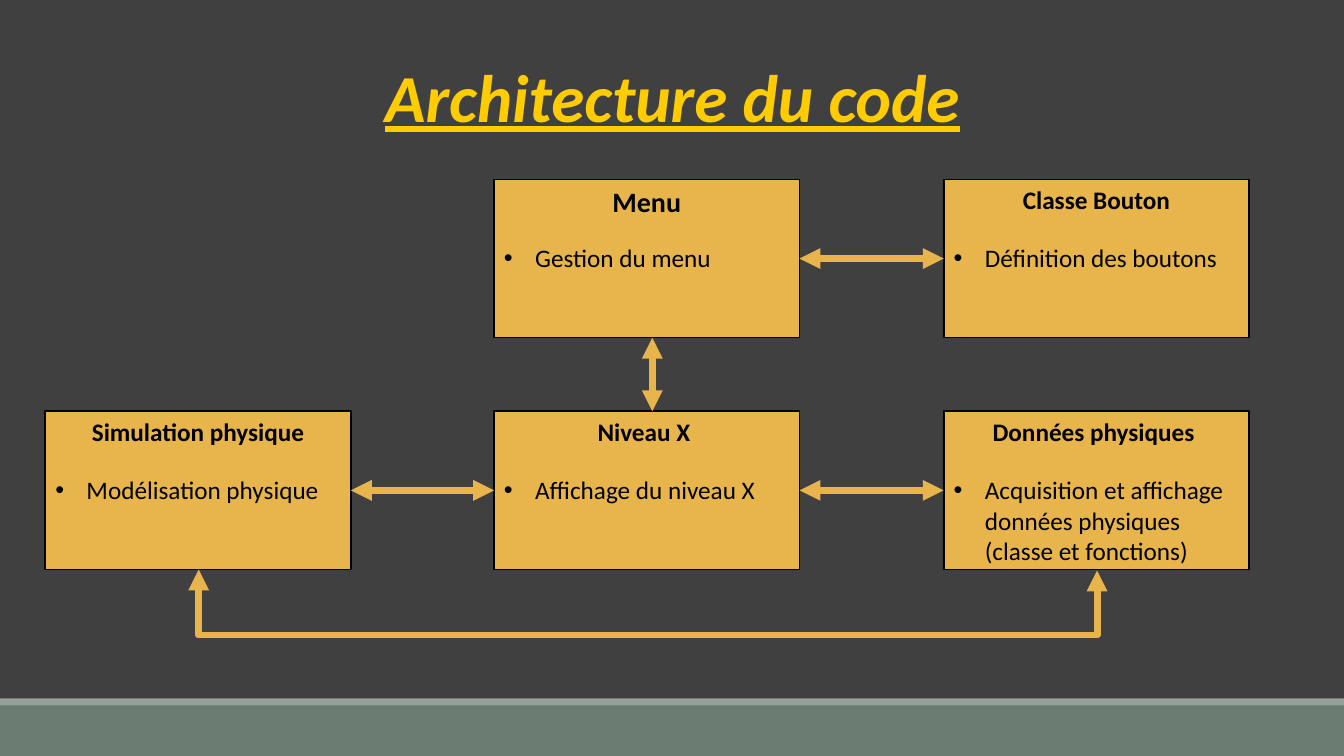
from dataclasses import dataclass

from lxml import etree
from pptx import Presentation
from pptx.dml.color import RGBColor
from pptx.enum.shapes import MSO_CONNECTOR, MSO_SHAPE
from pptx.enum.text import MSO_AUTO_SIZE, PP_ALIGN
from pptx.oxml.ns import qn
from pptx.util import Inches, Pt

STRAIGHT, ELBOW = MSO_CONNECTOR.STRAIGHT, MSO_CONNECTOR.ELBOW
RECT = MSO_SHAPE.RECTANGLE
GROW = MSO_AUTO_SIZE.SHAPE_TO_FIT_TEXT
CENTER, LEFT = PP_ALIGN.CENTER, PP_ALIGN.LEFT


@dataclass(frozen=True)
class Theme:
    font: str = "Calibri"
    background: str = "404040"
    footer: str = "6B7D72"
    footer_edge: str = "93A299"
    title: str = "FFCC00"
    box: str = "E8B54D"
    ink: str = "000000"
    title_size: float = 48
    menu_size: float = 20
    text_size: float = 18
    outline: float = 1.25
    arrow: float = 5


@dataclass(frozen=True)
class Module:
    name: str
    role: str
    left: float
    top: float
    name_size: float


@dataclass(frozen=True)
class Arrow:
    x1: float
    y1: float
    x2: float
    y2: float


THEME = Theme()
SLIDE_W, SLIDE_H = 13.33, 7.5
BOX_W, BOX_H = 3.03, 1.57
COLS = (0.45, 4.9, 9.36)
ROWS = (1.78, 4.08)
ROLE_DROP = 0.58
INDENT = 0.31

MODULES = (
    Module("Menu", "Gestion du menu", COLS[1], ROWS[0], THEME.menu_size),
    Module("Classe Bouton", "Définition des boutons", COLS[2], ROWS[0], THEME.text_size),
    Module("Simulation physique", "Modélisation physique", COLS[0], ROWS[1], THEME.text_size),
    Module("Niveau X ", "Affichage du niveau X", COLS[1], ROWS[1], THEME.text_size),
    Module("Données physiques ", "Acquisition et affichage données physiques (classe et fonctions)",
           COLS[2], ROWS[1], THEME.text_size),
)


def side_arrow(col: int, row: int) -> Arrow:
    """Link a box to its right-hand neighbour."""
    y = ROWS[row] + BOX_H / 2
    return Arrow(COLS[col] + BOX_W, y, COLS[col + 1], y)


ARROWS = (
    side_arrow(0, 1),
    side_arrow(1, 1),
    side_arrow(1, 0),
    Arrow(6.47, ROWS[0] + BOX_H, 6.47, ROWS[1]),
)


def rgb(color: str) -> RGBColor:
    return RGBColor.from_string(color)


def add_rect(s, left: float, top: float, width: float, height: float,
             fill: str, line: str | None = None) -> None:
    sp = s.shapes.add_shape(RECT, Inches(left), Inches(top), Inches(width), Inches(height))
    sp.shadow.inherit = False
    sp.fill.solid()
    sp.fill.fore_color.rgb = rgb(fill)
    if line:
        sp.line.color.rgb = rgb(line)
        sp.line.width = Pt(THEME.outline)
    else:
        sp.line.fill.background()


def add_text(s, text: str, left: float, top: float, width: float, height: float,
             size: float, color: str = THEME.ink, align=CENTER, **style: bool):
    sp = s.shapes.add_textbox(Inches(left), Inches(top), Inches(width), Inches(height))
    tf = sp.text_frame
    tf.word_wrap = True
    tf.auto_size = GROW
    p = tf.paragraphs[0]
    p.alignment = align
    r = p.add_run()
    r.text = text
    r.font.color.rgb = rgb(color)
    for name, value in {"name": THEME.font, "size": Pt(size), **style}.items():
        setattr(r.font, name, value)
    return p


def add_bullet(p) -> None:
    pPr = p._p.get_or_add_pPr()
    pPr.set("marL", str(Inches(INDENT)))
    pPr.set("indent", str(-Inches(INDENT)))
    etree.SubElement(pPr, qn("a:buFont")).set("typeface", "Arial")
    etree.SubElement(pPr, qn("a:buChar")).set("char", "•")


def add_module(s, module: Module) -> None:
    add_rect(s, module.left, module.top, BOX_W, BOX_H, THEME.box, THEME.ink)
    add_text(s, module.name, module.left, module.top, BOX_W, 0.4, module.name_size, bold=True)
    p = add_text(s, module.role, module.left, module.top + ROLE_DROP, BOX_W, 0.4,
                 THEME.text_size, align=LEFT)
    add_bullet(p)


def add_arrow(s, arrow: Arrow, kind=STRAIGHT):
    """Draw a connector with a head at both ends."""
    ends = (Inches(v) for v in (arrow.x1, arrow.y1, arrow.x2, arrow.y2))
    sp = s.shapes.add_connector(kind, *ends)
    sp.line.color.rgb = rgb(THEME.box)
    sp.line.width = Pt(THEME.arrow)
    ln = sp.line._get_or_add_ln()
    for tag in ("a:headEnd", "a:tailEnd"):
        etree.SubElement(ln, qn(tag)).set("type", "triangle")
    etree.SubElement(sp._element.spPr, qn("a:effectLst"))
    return sp


def add_return_arrow(s) -> None:
    """Join the outer lower boxes from below: an elbow on its side, bent far past its ends."""
    sp = add_arrow(s, Arrow(6.43, 1.2, 6.42, 10.11), ELBOW)
    spPr = sp._element.spPr
    spPr.find(qn("a:xfrm")).set("rot", str(270 * 60000))
    geom = spPr.find(qn("a:prstGeom"))
    guides = geom.find(qn("a:avLst"))
    if guides is None:
        guides = etree.SubElement(geom, qn("a:avLst"))
    guide = etree.SubElement(guides, qn("a:gd"))
    guide.set("name", "adj1")
    guide.set("fmla", f"val {66 * 100000}")


def main() -> None:
    prs = Presentation()
    prs.slide_width, prs.slide_height = Inches(SLIDE_W), Inches(SLIDE_H)
    s = prs.slides.add_slide(prs.slide_layouts[6])
    s.background.fill.solid()
    s.background.fill.fore_color.rgb = rgb(THEME.background)
    add_rect(s, 0, 7, SLIDE_W, 0.5, THEME.footer)
    add_rect(s, 0, 6.93, SLIDE_W, 0.07, THEME.footer_edge)
    add_text(s, "Architecture du code", 2, 0.5, 9.34, 0.91, THEME.title_size, THEME.title,
             bold=True, italic=True, underline=True)
    for module in MODULES:
        add_module(s, module)
    for arrow in ARROWS:
        add_arrow(s, arrow)
    add_return_arrow(s)
    prs.save("out.pptx")


if __name__ == "__main__":
    main()
